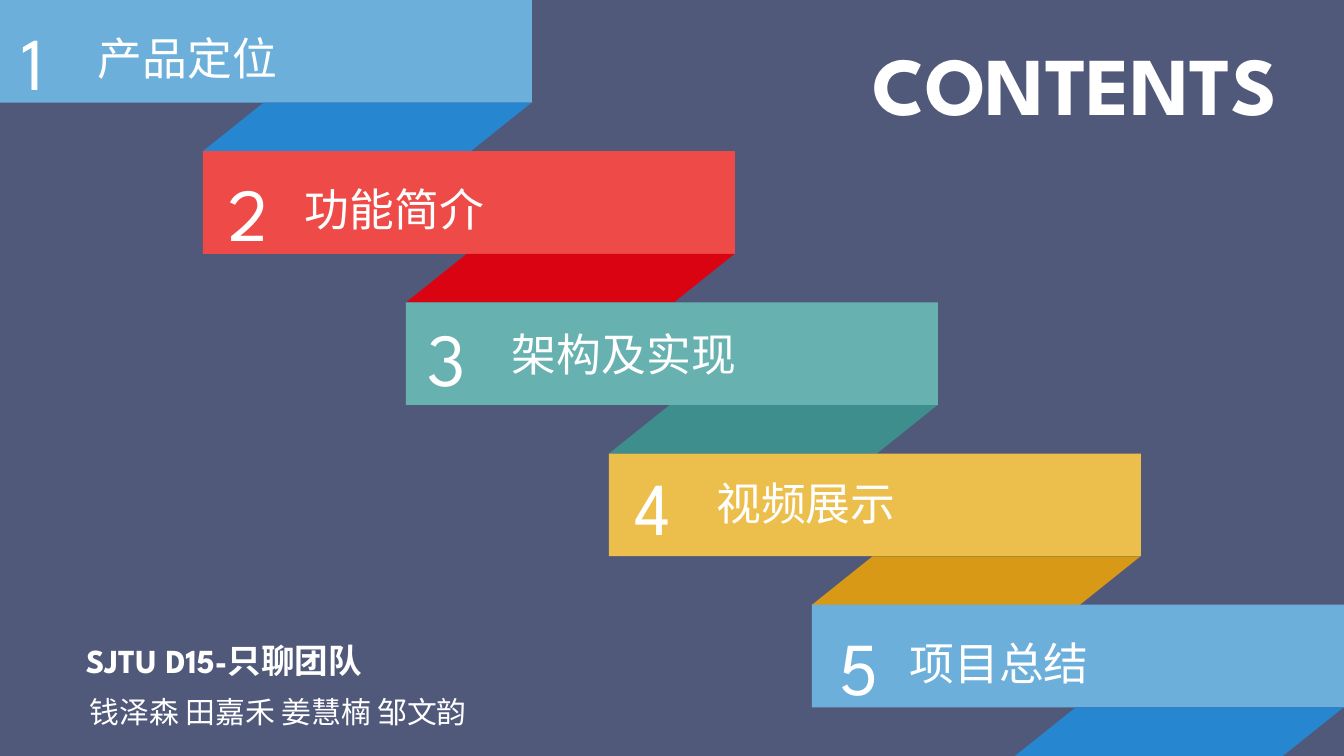
from pptx import Presentation
from pptx.dml.color import RGBColor
from pptx.enum.shapes import MSO_SHAPE as Shape
from pptx.enum.text import MSO_AUTO_SIZE as AutoSize, PP_ALIGN as Align
from pptx.util import Pt

BACKGROUND = RGBColor(0x51, 0x59, 0x7B)
WHITE = RGBColor(0xFF, 0xFF, 0xFF)
BLUE, DARK_BLUE = RGBColor(0x6B, 0xAF, 0xDA), RGBColor(0x26, 0x86, 0xCF)
RED, DARK_RED = RGBColor(0xEE, 0x4B, 0x48), RGBColor(0xD9, 0x03, 0x12)
TEAL, DARK_TEAL = RGBColor(0x67, 0xB2, 0xB0), RGBColor(0x3E, 0x8E, 0x8D)
YELLOW, DARK_YELLOW = RGBColor(0xEC, 0xBF, 0x4C), RGBColor(0xD8, 0x99, 0x17)

# Ribbon staircase, in points
STEP_X, STEP_Y = 108.75, 81
BAND_WIDTH, BAND_HEIGHT = 285, 55
FOLD_WIDTH = 176
FOLD_HEIGHT = STEP_Y - BAND_HEIGHT
FOLD_SLANT = 1.25

# Label, band colour, fold colour, number left and top, label left
SECTIONS = [
    ("产品定位", BLUE, DARK_BLUE, 4.3, 5, 45.4),
    ("功能简介", RED, DARK_RED, 115.2, 86, 156.2),
    ("架构及实现", TEAL, DARK_TEAL, 221.8, 163.4, 267.1),
    ("视频展示", YELLOW, DARK_YELLOW, 332.6, 243.4, 376.6),
    ("项目总结", BLUE, DARK_BLUE, 442.8, 329, 480.2),
]


class SlideBuilder:
    """Holds the text style and the current slide."""

    font_name = "League Spartan"
    text_color = WHITE

    def __init__(self, slide):
        self.slide = slide

    def background(self, color):
        fill = self.slide.background.fill
        fill.solid()
        fill.fore_color.rgb = color

    def block(self, kind, left, top, width, height, color):
        shape = self.slide.shapes.add_shape(
            kind, Pt(left), Pt(top), Pt(width), Pt(height))
        shape.shadow.inherit = False
        shape.fill.solid()
        shape.fill.fore_color.rgb = color
        shape.line.fill.background()
        return shape

    def text(self, text, left, top, width, height, size, bold=False,
             align=Align.LEFT, wrap=False, line_spacing=None):
        box = self.slide.shapes.add_textbox(
            Pt(left), Pt(top), Pt(width), Pt(height))
        frame = box.text_frame
        frame.word_wrap = wrap
        frame.auto_size = AutoSize.SHAPE_TO_FIT_TEXT
        paragraph = frame.paragraphs[0]
        paragraph.text = text
        paragraph.alignment = align
        paragraph.line_spacing = line_spacing
        font = paragraph.font
        font.name = self.font_name
        font.size = Pt(size)
        font.bold = bold
        font.color.rgb = self.text_color


def main():
    presentation = Presentation()
    presentation.slide_width, presentation.slide_height = Pt(720), Pt(405)
    builder = SlideBuilder(
        presentation.slides.add_slide(presentation.slide_layouts[6]))
    builder.background(BACKGROUND)

    # Team and title
    builder.text("钱泽森 田嘉禾 姜慧楠 邹文韵", 41, 362.2, 232, 32.4, 16,
                 wrap=True, line_spacing=1.3)
    builder.text("SJTU D15-只聊团队", 38.9, 332.6, 175, 35.3, 18,
                 bold=True, line_spacing=1.3)
    builder.text("CONTENTS", 442.8, 14.4, 249.1, 60.5, 44,
                 bold=True, align=Align.RIGHT)

    # Ribbon bands, each with the fold below it
    for index, section in enumerate(SECTIONS):
        label, band_color, fold_color, number_left, number_top, label_left = section
        left, top = index * STEP_X, index * STEP_Y
        builder.block(Shape.RECTANGLE, left, top,
                      BAND_WIDTH, BAND_HEIGHT, band_color)
        fold = builder.block(Shape.PARALLELOGRAM, left + STEP_X, top + BAND_HEIGHT,
                             FOLD_WIDTH, FOLD_HEIGHT, fold_color)
        fold.adjustments[0] = FOLD_SLANT
        builder.text(str(index + 1), number_left, number_top, 36.7, 55.4, 40)
        builder.text(label, label_left, number_top + 8, 222.5, 36, 24, wrap=True)

    presentation.save("out.pptx")


if __name__ == "__main__":
    main()
